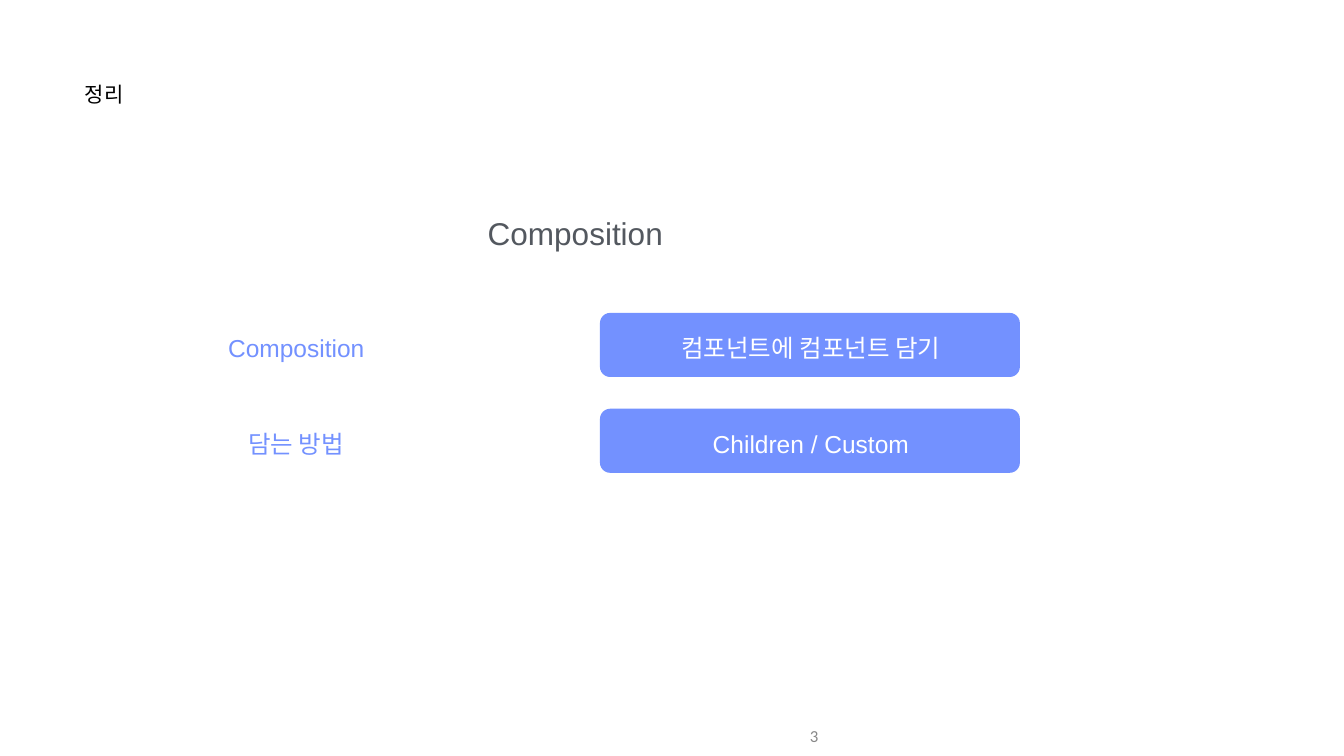
from pptx import Presentation
from pptx.dml.color import RGBColor
from pptx.enum.shapes import MSO_SHAPE
from pptx.enum.text import MSO_ANCHOR, PP_ALIGN
from pptx.util import Cm, Pt

BLACK = RGBColor(0x00, 0x00, 0x00)
WHITE = RGBColor(0xFF, 0xFF, 0xFF)
BLUE = RGBColor(0x73, 0x91, 0xFF)
DARK_GRAY = RGBColor(0x53, 0x58, 0x5F)
LIGHT_GRAY = RGBColor(0x88, 0x88, 0x88)

ROWS = [
    ("Composition", "컴포넌트에 컴포넌트 담기"),
    ("담는 방법", "Children / Custom"),
]
FIRST_ROW_TOP = 15.77
ROW_PITCH = 4.83
CARD_LEFT, CARD_WIDTH, CARD_HEIGHT = 30.23, 21.16, 3.23
LABEL_LEFT, LABEL_WIDTH = 6.99, 15.88
TEXT_OFFSET, TEXT_HEIGHT = 0.97, 1.57


def add_text(slide, text, box, size, color, alignment=PP_ALIGN.CENTER,
             anchor=MSO_ANCHOR.TOP, name="Arial", margins=(0.03, 0.03)):
    text_frame = slide.shapes.add_textbox(*map(Cm, box)).text_frame
    horizontal, vertical = map(Cm, margins)
    frame_format = {
        "word_wrap": True,
        "vertical_anchor": anchor,
        "margin_left": horizontal,
        "margin_right": horizontal,
        "margin_top": vertical,
        "margin_bottom": vertical,
    }
    for attribute, value in frame_format.items():
        setattr(text_frame, attribute, value)
    paragraph = text_frame.paragraphs[0]
    paragraph.alignment = alignment
    run = paragraph.add_run()
    run.text = text
    for attribute, value in {"name": name, "size": Pt(size)}.items():
        setattr(run.font, attribute, value)
    run.font.color.rgb = color


def add_card(slide, top):
    box = (CARD_LEFT, top, CARD_WIDTH, CARD_HEIGHT)
    shape = slide.shapes.add_shape(MSO_SHAPE.ROUNDED_RECTANGLE, *map(Cm, box))
    shape.adjustments[0] = 0.16
    shape.shadow.inherit = False
    shape.fill.solid()
    shape.fill.fore_color.rgb = BLUE
    shape.line.fill.background()


def add_row(slide, top, label, description):
    add_card(slide, top)
    text_top = top + TEXT_OFFSET
    add_text(slide, label, (LABEL_LEFT, text_top, LABEL_WIDTH, TEXT_HEIGHT),
             35, BLUE, anchor=MSO_ANCHOR.MIDDLE)
    add_text(slide, description, (CARD_LEFT + 0.05, text_top, CARD_WIDTH, TEXT_HEIGHT),
             35, WHITE, anchor=MSO_ANCHOR.MIDDLE)


def main():
    presentation = Presentation()
    presentation.slide_width = Cm(67.72)
    presentation.slide_height = Cm(38.1)
    slide = presentation.slides.add_slide(presentation.slide_layouts[6])

    add_text(slide, "정리", (4.24, 4.06, 12.34, 3), 30, BLACK, PP_ALIGN.LEFT)
    add_text(slide, "Composition", (6.71, 10.77, 44.55, 2.01), 45, DARK_GRAY)
    add_text(slide, "3", (26.24, 36.09, 15.24, 2.01), 24, LIGHT_GRAY,
             PP_ALIGN.RIGHT, MSO_ANCHOR.MIDDLE, "Calibri", (0.25, 0.13))
    for index, (label, description) in enumerate(ROWS):
        add_row(slide, FIRST_ROW_TOP + index * ROW_PITCH, label, description)

    presentation.save("out.pptx")


if __name__ == "__main__":
    main()
